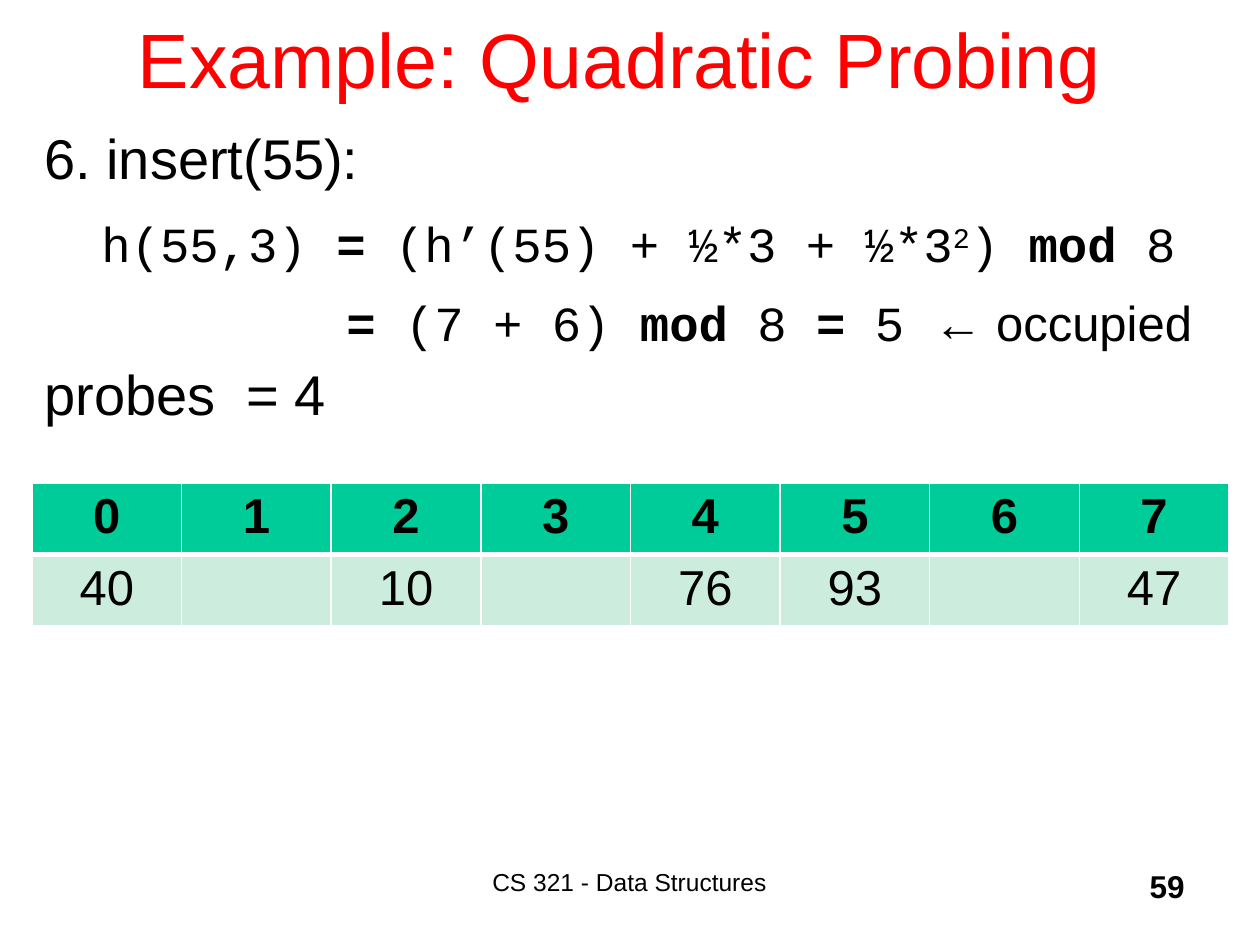
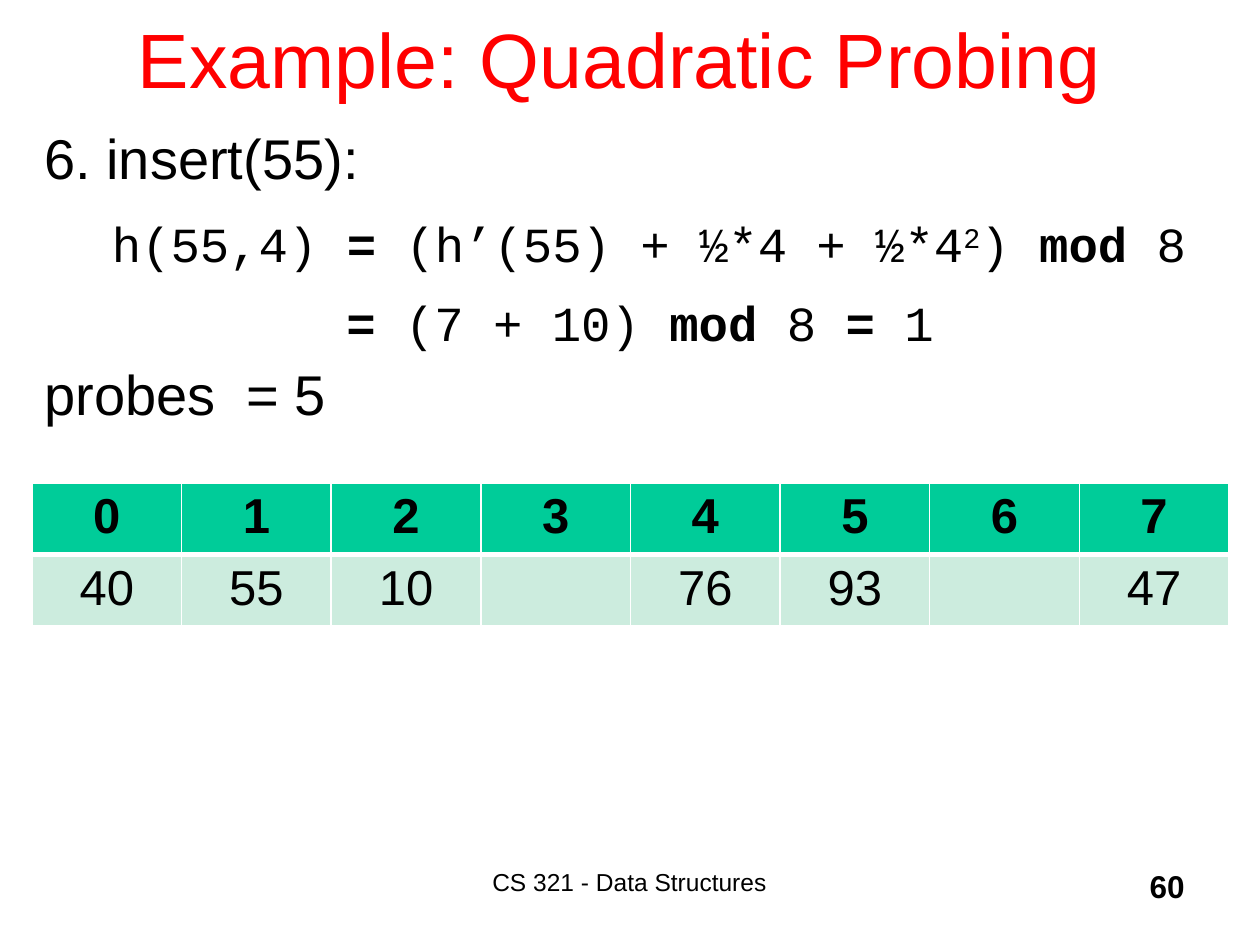
from dataclasses import dataclass

from lxml.etree import SubElement
from pptx import Presentation
from pptx.dml.color import RGBColor
from pptx.enum.text import MSO_ANCHOR, PP_ALIGN
from pptx.oxml.ns import qn
from pptx.util import Emu, Pt

PX_PER_INCH = 126
BLACK, WHITE, TITLE_RED = "000000", "FFFFFF", "FF0000"
HEADER_GREEN, SLOT_GREEN = "00CC99", "CCECDE"
SANS, MONO = "Arial", "Courier New"
SUPERSCRIPT = "30000"


@dataclass(frozen=True)
class Span:
    text: str
    size: int
    font: str = SANS
    color: str = BLACK
    bold: bool = False
    raised: bool = False


@dataclass(frozen=True)
class Line:
    spans: list[Span]
    align: PP_ALIGN = PP_ALIGN.LEFT
    height: int | None = None  # points
    indent: int = 0  # px


@dataclass(frozen=True)
class Probe:
    page: int
    attempt: int
    offset: int
    result: int
    note: str
    body_width: int
    slots: list[str]


PROBES = [
    Probe(59, 3, 6, 5, "← occupied", 1197,
          ["40", "", "10", "", "76", "93", "", "47"]),
    Probe(60, 4, 10, 1, "", 1218,
          ["40", "55", "10", "", "76", "93", "", "47"]),
]


def px(length: int) -> Emu:
    return Emu(round(length * 914400 / PX_PER_INCH))


def rgb(color: str) -> RGBColor:
    return RGBColor.from_string(color)


def write_line(paragraph, line: Line) -> None:
    paragraph.alignment = line.align
    if line.height:
        paragraph.line_spacing = Pt(line.height)
    if line.indent:
        properties = paragraph._p.get_or_add_pPr()
        properties.set("marL", str(px(line.indent)))
        properties.set("indent", "0")
    for span in line.spans:
        run = paragraph.add_run()
        run.text = span.text
        run.font.size = Pt(span.size)
        run.font.name = span.font
        run.font.bold = span.bold
        run.font.color.rgb = rgb(span.color)
        if span.raised:
            run.font._element.set("baseline", SUPERSCRIPT)


def add_text(slide, left: int, top: int, width: int, height: int,
             lines: list[Line], anchor: MSO_ANCHOR = MSO_ANCHOR.TOP) -> None:
    frame = slide.shapes.add_textbox(px(left), px(top), px(width), px(height)).text_frame
    frame.word_wrap = True
    frame.vertical_anchor = anchor
    for index, line in enumerate(lines):
        write_line(frame.add_paragraph() if index else frame.paragraphs[0], line)


def code(text: str, bold: bool = False, raised: bool = False) -> Span:
    return Span(text, 28, MONO, bold=bold, raised=raised)


def probe_lines(probe: Probe) -> list[Line]:
    """The hash calculation for one probe, followed by the probe count."""
    n = probe.attempt
    formula = [
        code(f"h(55,{n}) "), code("=", bold=True),
        code(f" (h’(55) + ½*{n} + ½*{n}"), code("2", raised=True), code(") "),
        code("mod", bold=True), code(" 8"),
    ]
    evaluation = [
        code("=", bold=True), code(f" (7 + {probe.offset}) "),
        code("mod", bold=True), code(" 8 "), code("=", bold=True),
        code(f" {probe.result}"),
    ]
    if probe.note:
        evaluation += [code(" "), Span(probe.note, 28)]
    return [
        Line([Span("6. insert(55):", 32)], height=39),
        Line(formula, PP_ALIGN.CENTER, height=47, indent=16),
        Line(evaluation, height=45, indent=302),
        Line([Span(f"probes  = {n + 1}", 32)], height=43),
    ]


def add_borders(cell, bottom: int) -> None:
    """White cell edges, inserted before the fill as the schema requires."""
    properties = cell._tc.get_or_add_tcPr()
    widths = {"a:lnL": 1, "a:lnR": 1, "a:lnT": 1, "a:lnB": bottom}
    for position, (tag, width) in enumerate(widths.items()):
        edge = SubElement(properties, qn(tag), w=str(Pt(width)))
        fill = SubElement(edge, qn("a:solidFill"))
        SubElement(fill, qn("a:srgbClr"), val=WHITE)
        properties.insert(position, edge)


def add_hash_table(slide, slots: list[str]) -> None:
    rows = [[str(index) for index in range(len(slots))], slots]
    table = slide.shapes.add_table(
        len(rows), len(slots), px(32), px(483), px(1197), px(134)).table
    table.first_row = table.horz_banding = False
    for row, values in enumerate(rows):
        is_header = row == 0
        for column, value in enumerate(values):
            cell = table.cell(row, column)
            cell.fill.solid()
            cell.fill.fore_color.rgb = rgb(HEADER_GREEN if is_header else SLOT_GREEN)
            add_borders(cell, bottom=3 if is_header else 1)
            if value:
                write_line(cell.text_frame.paragraphs[0],
                           Line([Span(value, 28, bold=is_header)], PP_ALIGN.CENTER))


def add_frame(slide, page: int) -> None:
    """Title, course footer and page number."""
    title = Span("Example: Quadratic Probing ", 44, color=TITLE_RED)
    add_text(slide, 95, -21, 1071, 158, [Line([title], PP_ALIGN.CENTER)], MSO_ANCHOR.MIDDLE)
    course = Span("CS 321 - Data Structures", 14)
    add_text(slide, 388, 861, 483, 63, [Line([course], PP_ALIGN.CENTER)])
    number = Span(str(page), 18, bold=True)
    add_text(slide, 935, 861, 262, 63, [Line([number], PP_ALIGN.RIGHT)])


def main() -> None:
    deck = Presentation()
    deck.slide_width, deck.slide_height = px(1260), px(945)
    for probe in PROBES:
        slide = deck.slides.add_slide(deck.slide_layouts[6])
        add_frame(slide, probe.page)
        add_text(slide, 32, 116, probe.body_width, 336, probe_lines(probe))
        add_hash_table(slide, probe.slots)
    deck.save("out.pptx")


if __name__ == "__main__":
    main()
